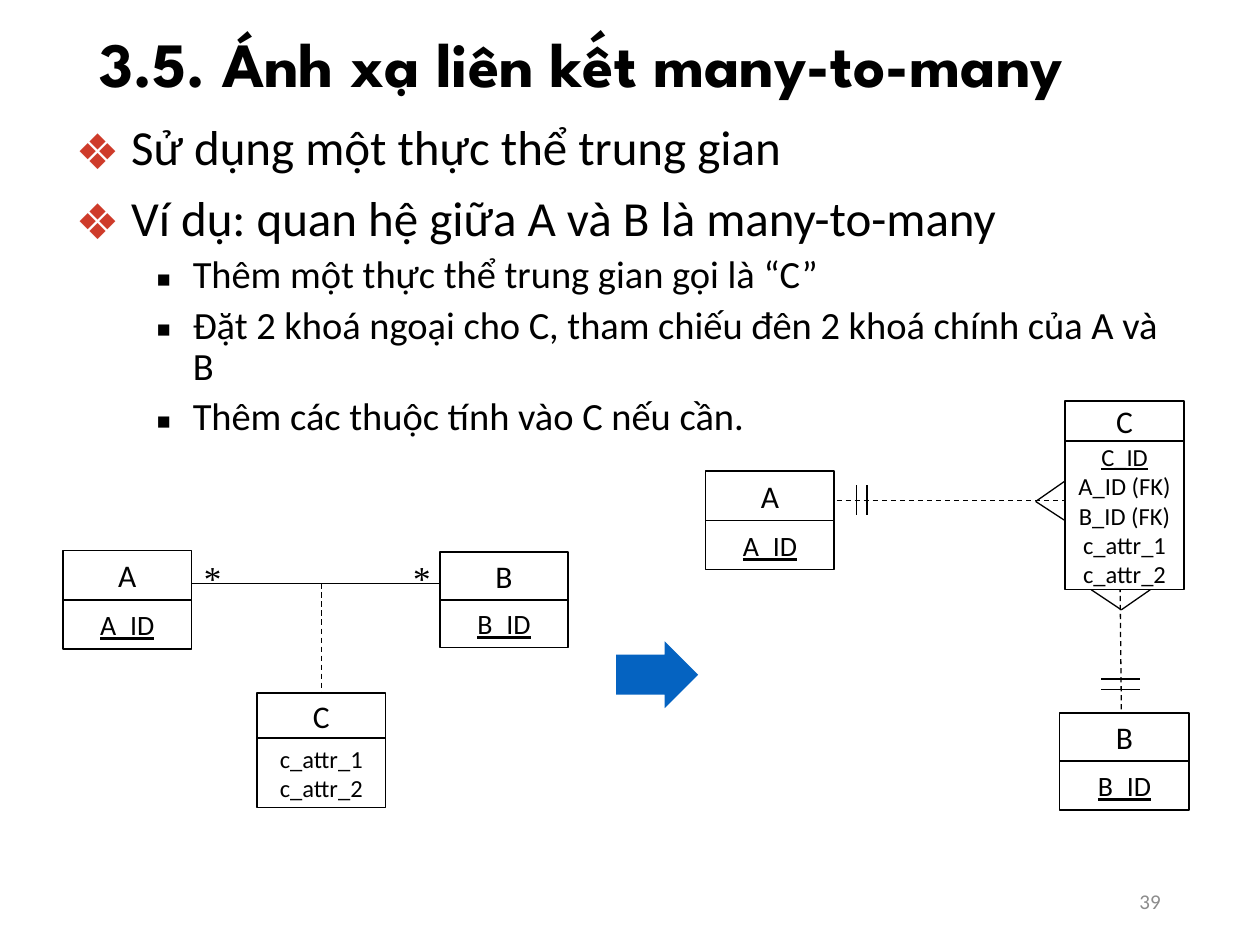
from lxml import etree
from pptx import Presentation
from pptx.dml.color import RGBColor
from pptx.enum import dml, shapes, text
from pptx.oxml import ns
from pptx.util import Inches, Pt

BLACK = RGBColor(0, 0, 0)
WHITE = RGBColor(255, 255, 255)
RED = RGBColor(0xCE, 0x3B, 0x2A)
BLUE = RGBColor(0x05, 0x63, 0xC1)
GRAY = RGBColor(0x8C, 0x8C, 0x8C)

TITLE = "3.5. Ánh xạ liên kết many-to-many"
POINTS = [
    (0, "Sử dụng một thực thể trung gian"),
    (0, "Ví dụ: quan hệ giữa A và B là many-to-many"),
    (1, "Thêm một thực thể trung gian gọi là “C”"),
    (1, "Đặt 2 khoá ngoại cho C, tham chiếu đên 2 khoá chính của A và B"),
    (1, "Thêm các thuộc tính vào C nếu cần."),
]
# level: indent, hanging, size, space before, bullet, bullet colour
STYLES = [(0.44, 0.44, 28, 10, "❖", RED), (0.93, 0.29, 22, 5, "▪", BLACK)]


def place(shape, x, y, w, h):
    shape.left, shape.top = Inches(x), Inches(y)
    shape.width, shape.height = Inches(w), Inches(h)


def style(font, size, name="Calibri", color=BLACK):
    font.size, font.name = Pt(size), name
    font.color.rgb = color


def bullet(para, indent, hang, char, color):
    props = para._p.get_or_add_pPr()
    props.set("marL", str(Inches(indent)))
    props.set("indent", str(-Inches(hang)))
    tint = etree.SubElement(props, ns.qn("a:buClr"))
    etree.SubElement(tint, ns.qn("a:srgbClr"), val=str(color))
    etree.SubElement(props, ns.qn("a:buFont"), typeface="Noto Sans Symbols")
    etree.SubElement(props, ns.qn("a:buChar"), char=char)


def heading(slide, x, y, w, h):
    title = slide.shapes.title
    place(title, x, y, w, h)
    frame = title.text_frame
    frame.text = TITLE
    frame.auto_size = text.MSO_AUTO_SIZE.NONE
    frame.vertical_anchor = text.MSO_ANCHOR.MIDDLE
    para = frame.paragraphs[0]
    para.alignment = text.PP_ALIGN.LEFT
    para.line_spacing = 0.9
    style(para.runs[0].font, 36, "League Spartan")
    para.runs[0].font.bold = True


def points(slide, x, y, w, h):
    body = slide.placeholders[1]
    place(body, x, y, w, h)
    frame = body.text_frame
    frame.text = "\n".join(line for _, line in POINTS)
    frame.auto_size = text.MSO_AUTO_SIZE.NONE
    for i, (para, (level, _)) in enumerate(zip(frame.paragraphs, POINTS)):
        indent, hang, size, before, char, color = STYLES[level]
        para.level = level
        para.line_spacing = 0.9
        para.space_before = Pt(before if i else 0)
        bullet(para, indent, hang, char, color)
        style(para.runs[0].font, size)


def label(slide, x, y, w, h, words, size, name="Calibri", color=BLACK):
    box = slide.shapes.add_textbox(*map(Inches, (x, y, w, h)))
    frame = box.text_frame
    frame.word_wrap = True
    frame.text = words
    style(frame.paragraphs[0].runs[0].font, size, name, color)
    return frame


def line(slide, x1, y1, x2, y2, dash=False):
    link = slide.shapes.add_connector(
        shapes.MSO_CONNECTOR.STRAIGHT, *map(Inches, (x1, y1, x2, y2)))
    link.line.color.rgb = BLACK
    link.line.width = Pt(0.75)
    if dash:
        link.line.dash_style = dml.MSO_LINE.DASH
    etree.SubElement(link._element.spPr, ns.qn("a:effectLst"))
    return link


def cell(slide, x, y, w, h, rows, size, keyed=False):
    """A box of centred rows; the first is underlined if it is a key."""
    box = slide.shapes.add_shape(
        shapes.MSO_SHAPE.RECTANGLE, *map(Inches, (x, y, w, h)))
    box.shadow.inherit = False
    box.fill.solid()
    box.fill.fore_color.rgb = WHITE
    box.line.color.rgb = BLACK
    box.line.width = Pt(1)
    frame = box.text_frame
    frame.word_wrap = False
    frame.vertical_anchor = text.MSO_ANCHOR.MIDDLE
    frame.text = "\n".join(rows)
    for i, para in enumerate(frame.paragraphs):
        para.alignment = text.PP_ALIGN.CENTER
        style(para.runs[0].font, size)
        if keyed and i == 0:
            para.runs[0].font.underline = True
    return box


def entity(slide, x, y, w, h, split, name, rows, keyed=True):
    """A name cell of height split above the attributes; returns the name."""
    head = cell(slide, x, y, w, split, [name], 18)
    cell(slide, x, y + split, w, h - split, rows,
         16 if len(rows) == 1 else 14, keyed)
    return head


def before(slide, x, y):
    """Many-to-many link with C as its association class."""
    line(slide, x + 1.02, y + 0.26, x + 2.99, y + 0.26)
    stem = line(slide, x + 2.05, y + 0.26, x + 2.05, y + 1.13, dash=True)
    for left, width in ((1.02, 0.55), (2.68, 0.47)):
        label(slide, x + left, y, width, 0.4, "*", 20, "Times New Roman")
    entity(slide, x, y, 1.02, 0.78, 0.39, "A", ["A_ID"])
    entity(slide, x + 2.99, y + 0.01, 1.02, 0.76, 0.38, "B", ["B_ID"])
    link = entity(slide, x + 1.54, y + 1.13, 1.02, 0.91, 0.36, "C",
                  ["c_attr_1", "c_attr_2"], keyed=False)
    stem.end_connect(link, 0)


def after(slide, x, y):
    """C as an entity on the many side of both A and B."""
    line(slide, x + 1.04, y + 0.79, x + 2.93, y + 0.79, dash=True)
    line(slide, x + 3.3, y + 2.45, x + 3.29, y + 1.5, dash=True)
    for end in (0.64, 0.95):
        line(slide, x + 2.85, y + end, x + 2.62, y + 0.8)
    for end in (3.06, 3.53):
        line(slide, x + end, y + 1.5, x + 3.3, y + 1.66)
    for bar in (1.2, 1.28):
        line(slide, x + bar, y + 0.67, x + bar, y + 0.91)
    for bar in (2.21, 2.29):
        line(slide, x + 3.14, y + bar, x + 3.45, y + bar)
    entity(slide, x, y + 0.56, 1.02, 0.78, 0.39, "A", ["A_ID"])
    entity(slide, x + 2.81, y + 2.48, 1.03, 0.77, 0.38, "B", ["B_ID"])
    entity(slide, x + 2.85, y, 0.95, 1.5, 0.32, "C",
           ["C_ID", "A_ID (FK)", "B_ID (FK)", "c_attr_1", "c_attr_2"])


def arrow(slide, x, y, w, h):
    mark = slide.shapes.add_shape(
        shapes.MSO_SHAPE.RIGHT_ARROW, *map(Inches, (x, y, w, h)))
    mark.adjustments[0], mark.adjustments[1] = 0.6, 0.5
    mark.shadow.inherit = False
    mark.fill.solid()
    mark.fill.fore_color.rgb = BLUE
    mark.line.fill.background()


def number(slide, x, y, w, h):
    frame = label(slide, x, y, w, h, "39", 12, color=GRAY)
    frame.vertical_anchor = text.MSO_ANCHOR.MIDDLE
    frame.paragraphs[0].alignment = text.PP_ALIGN.RIGHT


def main():
    deck = Presentation()
    deck.slide_width, deck.slide_height = Inches(10), Inches(7.5)
    slide = deck.slides.add_slide(deck.slide_layouts[1])
    heading(slide, 0.69, 0.13, 8.62, 0.81)
    points(slide, 0.5, 0.93, 9, 5.16)
    before(slide, 0.5, 4.37)
    arrow(slide, 4.89, 5.09, 0.65, 0.53)
    after(slide, 5.6, 3.18)
    number(slide, 7.06, 6.95, 2.25, 0.4)
    deck.save("out.pptx")


if __name__ == "__main__":
    main()
